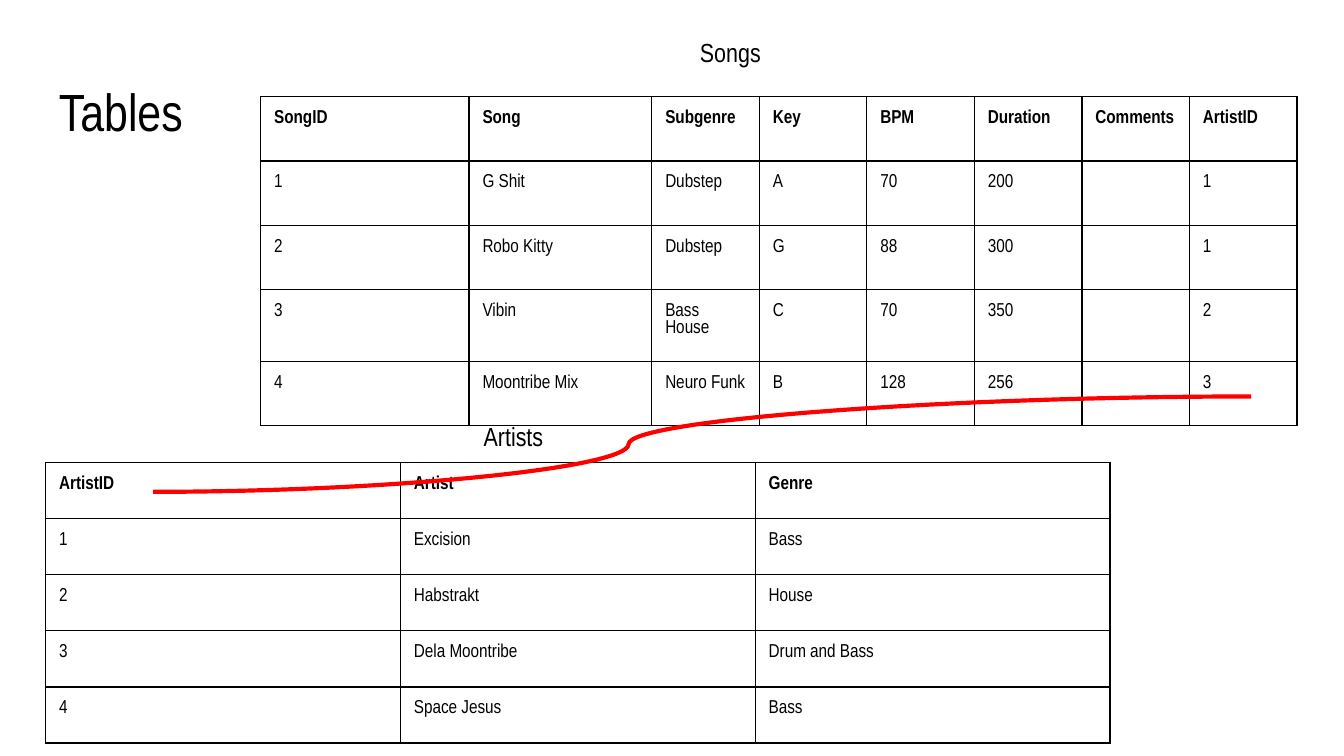
from lxml import etree
from pptx import Presentation, util as u
from pptx.dml.color import RGBColor
from pptx.enum import shapes, text
from pptx.oxml import ns

BLACK = RGBColor(0, 0, 0)
RED = RGBColor(255, 0, 0)
FONT = "Arial Narrow"
MARGIN = u.Inches(0.1)

SONGS = [
    ["SongID", "Song", "Subgenre", "Key", "BPM", "Duration", "Comments", "ArtistID"],
    ["1", "G Shit", "Dubstep", "A", "70", "200", "", "1"],
    ["2", "Robo Kitty", "Dubstep", "G", "88", "300", "", "1"],
    ["3", "Vibin", "Bass House", "C", "70", "350", "", "2"],
    ["4", "Moontribe Mix", "Neuro Funk", "B", "128", "256", "", "3"],
]
ARTISTS = [
    ["ArtistID", "Artist", "Genre"],
    ["1", "Excision", "Bass"],
    ["2", "Habstrakt", "House"],
    ["3", "Dela Moontribe", "Drum and Bass"],
    ["4", "Space Jesus", "Bass"],
]


def write(frame, wording, size=10, bold=False):
    frame.word_wrap = True
    paragraph = frame.paragraphs[0]
    if wording:
        run = paragraph.add_run()
        run.text = wording
        run.font.name = FONT
        run.font.size = u.Pt(size)
        run.font.bold = bold
        run.font.color.rgb = BLACK
    else:
        # An empty cell needs its own text size, or its row grows
        end = etree.SubElement(paragraph._p, ns.qn("a:endParaRPr"), sz=str(size * 100))
        etree.SubElement(end, ns.qn("a:latin"), typeface=FONT)


def set_borders(cell):
    """Draw a thin black line on all four sides, ahead of the cell's fill."""
    properties = cell._tc.get_or_add_tcPr()
    for position, side in enumerate(("a:lnL", "a:lnR", "a:lnT", "a:lnB")):
        line = etree.Element(ns.qn(side), w=str(u.Pt(0.75)))
        fill = etree.SubElement(line, ns.qn("a:solidFill"))
        etree.SubElement(fill, ns.qn("a:srgbClr"), val=str(BLACK))
        properties.insert(position, line)


presentation = Presentation()
presentation.slide_width = u.Inches(10)
presentation.slide_height = u.Inches(10) * 9 // 16
slide = presentation.slides.add_slide(presentation.slide_layouts[6])

# Title and table captions
for wording, size, box in (
    ("Tables", 28, (0.34, 0.49, 9.32, 0.63)),
    ("Songs", 14, (5.11, 0.17, 3.06, 0.43)),
    ("Artists", 14, (3.5, 3.03, 1.89, 0.33)),
):
    frame = slide.shapes.add_textbox(*map(u.Inches, box)).text_frame
    frame.margin_left = frame.margin_right = MARGIN
    frame.margin_top = frame.margin_bottom = MARGIN
    frame.vertical_anchor = text.MSO_ANCHOR.TOP
    write(frame, wording, size=size)

# Tables
for rows, left, top, widths, height in (
    (SONGS, 1.94, 0.72, [1.55, 1.36] + [0.8] * 6, 2.39),
    (ARTISTS, 0.34, 3.44, [2.64] * 3, 2.09),
):
    table = slide.shapes.add_table(
        len(rows), len(widths), u.Inches(left), u.Inches(top),
        u.Inches(sum(widths)), u.Inches(height),
    ).table
    table.horz_banding = False
    for column, width in zip(table.columns, widths):
        column.width = u.Inches(width)
    for row_index, row in enumerate(rows):
        table.rows[row_index].height = u.Inches(height / len(rows))
        for column_index, wording in enumerate(row):
            cell = table.cell(row_index, column_index)
            cell.margin_left = cell.margin_right = MARGIN
            cell.margin_top = cell.margin_bottom = MARGIN
            cell.fill.background()
            set_borders(cell)
            write(cell.text_frame, wording, bold=row_index == 0)

# Link between the two ArtistID columns
link = slide.shapes.add_connector(
    shapes.MSO_CONNECTOR.CURVE,
    u.Inches(1.14), u.Inches(3.66), u.Inches(9.31), u.Inches(2.95),
)
link.line.color.rgb = RED
link.line.width = u.Pt(2.25)
link_properties = link._element.spPr
etree.SubElement(link_properties, ns.qn("a:effectLst"))
adjustments = link_properties.find(ns.qn("a:prstGeom")).get_or_add_avLst()
etree.SubElement(adjustments, ns.qn("a:gd"), name="adj1", fmla="val 43300")

presentation.save("out.pptx")
